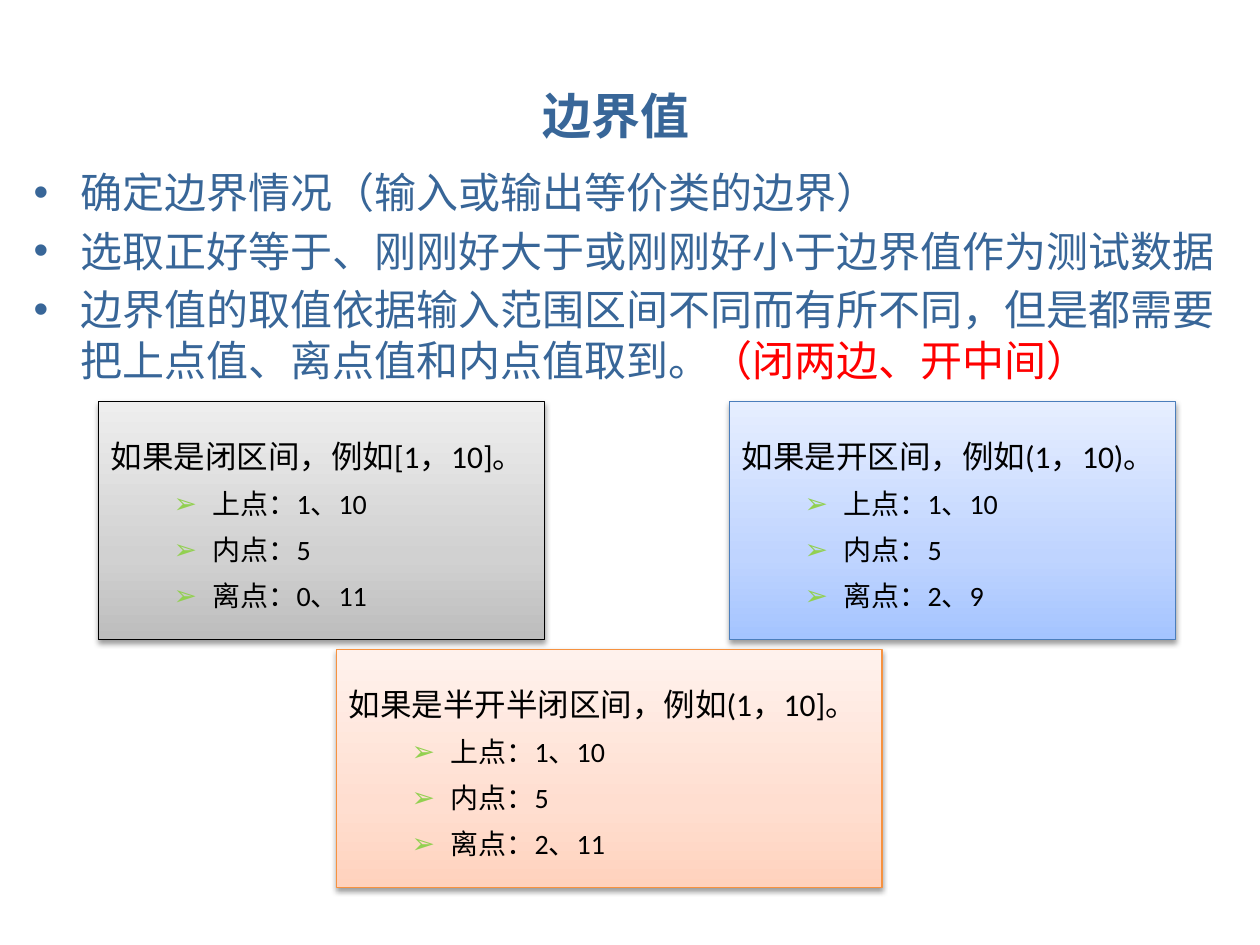
from copy import deepcopy
from lxml.etree import SubElement
from pptx import Presentation
from pptx.dml.color import RGBColor as RGB
from pptx.enum.shapes import MSO_SHAPE as SHAPE
from pptx.enum.text import MSO_ANCHOR as ANCHOR, MSO_AUTO_SIZE as AUTO, PP_ALIGN as ALIGN
from pptx.oxml.ns import qn
from pptx.util import Cm, Pt

HUES = {"text": "386698", "stress": "FF0000", "ink": "000000", "mark": "92D050"}
THEMES = {
    "gray": {"line": "000000", "stops": ("BDBDBD", "D1D1D1", "EEEEEE")},
    "blue": {"line": "4B7EBC", "stops": ("A4C4FF", "BFD4FF", "E6EEFF")},
    "orange": {"line": "F69240", "stops": ("FFD2BD", "FFDED0", "FFF2ED")},
}
POINTS = [
    "确定边界情况（输入或输出等价类的边界）",
    "选取正好等于、刚刚好大于或刚刚好小于边界值作为测试数据",
    "边界值的取值依据输入范围区间不同而有所不同，但是都需要把上点值、离点值和内点值取到。",
]
CASES = [
    ("gray", (1.98, 8.1, 9, 4.8), "如果是闭区间，例如[1，10]。", "0、11"),
    ("blue", (14.7, 8.1, 9, 4.8), "如果是开区间，例如(1，10)。", "2、9"),
    ("orange", (6.78, 13.1, 11, 4.8), "如果是半开半闭区间，例如(1，10]。", "2、11"),
]


def style(part, size, font, hue):
    """Set size, typeface and colour of a paragraph's runs."""
    for run in part.runs:
        run.font.size, run.font.name = Pt(size), font
        run.font.color.rgb = RGB.from_string(HUES[hue])


def indent(part, left, first):
    """Set the left margin and first-line indent of a paragraph."""
    props = part._p.get_or_add_pPr()
    props.set("marL", str(Cm(left)))
    props.set("indent", str(Cm(first)))
    return props


def bullet(part, char, left, hang, hue):
    """Give a paragraph a hanging bullet."""
    props = indent(part, left, -hang)
    tint = SubElement(props, qn("a:buClr"))
    SubElement(tint, qn("a:srgbClr"), val=HUES[hue])
    SubElement(props, qn("a:buFont"), typeface="Arial")
    SubElement(props, qn("a:buChar"), char=char)


def add_head(slide, box):
    """Place and format the slide title."""
    head = slide.shapes.title
    head.left, head.top, head.width, head.height = map(Cm, box)
    frame = head.text_frame
    frame.text = "边界值"
    frame.auto_size = AUTO.SHAPE_TO_FIT_TEXT
    frame.vertical_anchor = ANCHOR.TOP
    part = frame.paragraphs[0]
    part.alignment = ALIGN.CENTER
    style(part, 28, "Cabin", "text")
    part.runs[0].font.bold = True


def add_list(slide, box):
    """Write the bulleted rules, the last ending in a stressed note."""
    frame = slide.shapes.add_textbox(*map(Cm, box)).text_frame
    frame.word_wrap = True
    frame.text = "\n".join(POINTS)
    for i, part in enumerate(frame.paragraphs):
        bullet(part, "•", 0.95, 0.95, "text")
        part.space_before = Pt(4.8 if i else 0)
        style(part, 24, "Cabin", "text")
    note = part.add_run()
    note.text = "（闭两边、开中间）"
    note.font.size, note.font.name = Pt(24), "Cabin"
    note.font.color.rgb = RGB.from_string(HUES["stress"])


def paint(card, theme):
    """Give a card its gradient, outline and soft shadow."""
    card.fill.gradient()
    card.fill.gradient_angle = 90
    props = card._element.spPr
    stops = props.find(".//" + qn("a:gsLst"))
    stops.append(deepcopy(stops[-1]))
    for stop, spot, hue in zip(card.fill.gradient_stops, (0, 0.35, 1), theme["stops"]):
        stop.position = spot
        stop.color.rgb = RGB.from_string(hue)
    card.line.color.rgb = RGB.from_string(theme["line"])
    card.line.width = Pt(0.75)
    card.shadow.inherit = False
    shade = SubElement(props.find(qn("a:effectLst")), qn("a:outerShdw"),
                       blurRad=str(Pt(3.1)), dist=str(Pt(1.6)), dir="5400000", rotWithShape="0")
    tint = SubElement(shade, qn("a:srgbClr"), val=HUES["ink"])
    SubElement(tint, qn("a:alpha"), val="38000")


def add_card(slide, box, theme, lead, off):
    """Draw one interval case with its lead line and three point values."""
    card = slide.shapes.add_shape(SHAPE.RECTANGLE, *map(Cm, box))
    paint(card, theme)
    frame = card.text_frame
    frame.word_wrap = True
    frame.vertical_anchor = ANCHOR.MIDDLE
    frame.text = "\n".join([lead, "上点：1、10", "内点：5", f"离点：{off}"])
    for i, part in enumerate(frame.paragraphs):
        part.level = 1
        part.alignment = ALIGN.JUSTIFY
        part.line_spacing = 1.2
        part.space_before = Pt(3.2 if i else 0)
        if i:
            bullet(part, "➢", 2.06, 0.79, "mark")
        else:
            indent(part, 0, 0)
        style(part, 16 if i else 18, "Calibri", "ink")


def main():
    """Build and save the slide."""
    deck = Presentation()
    deck.slide_width, deck.slide_height = Cm(25.4), Cm(19.05)
    slide = deck.slides.add_slide(deck.slide_layouts[5])
    add_head(slide, (1, 1.6, 22.85, 1.45))
    add_list(slide, (0.43, 3.23, 24.45, 4.7))
    for name, box, lead, off in CASES:
        add_card(slide, box, THEMES[name], lead, off)
    deck.save("out.pptx")


if __name__ == "__main__":
    main()
